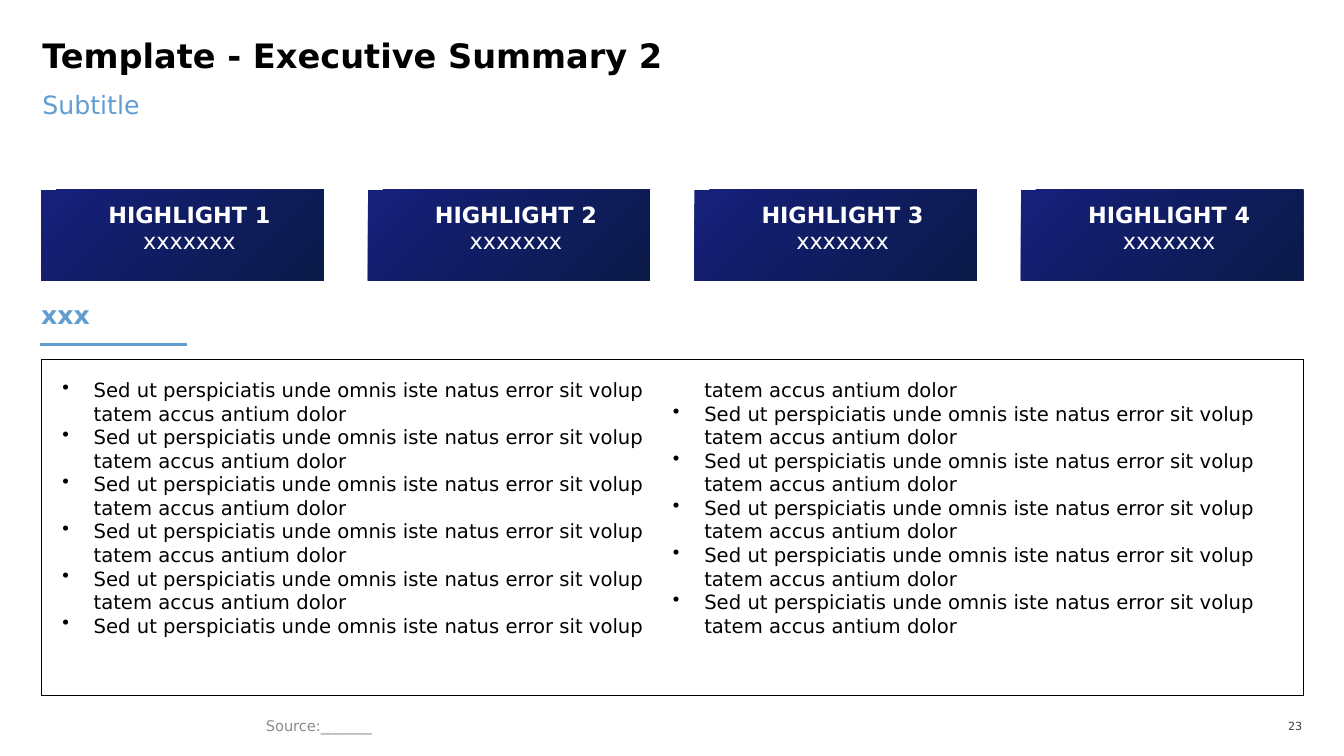
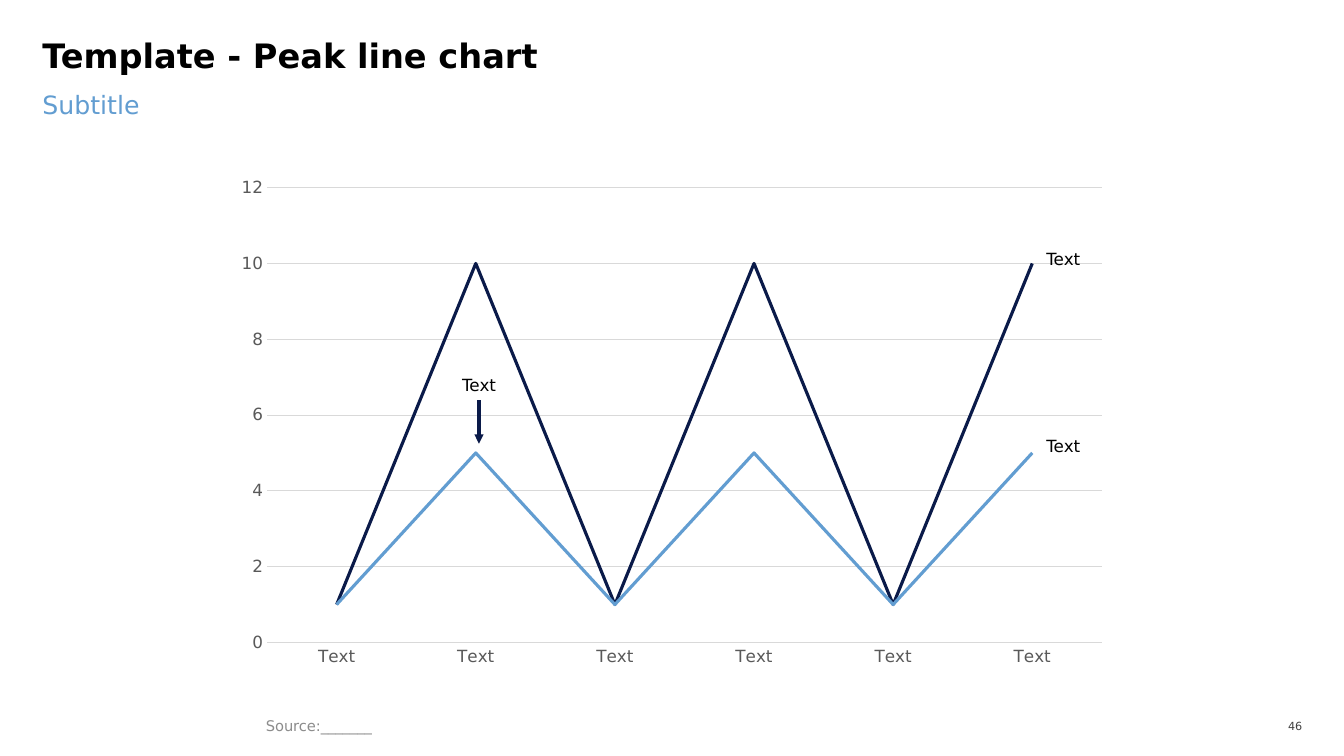
import pptx
import pptx.chart.data
import pptx.dml.color
import pptx.enum.chart
import pptx.enum.shapes
import pptx.enum.text
import pptx.oxml.ns
import pptx.oxml.xmlchemy
import pptx.util

Cm, Pt = pptx.util.Cm, pptx.util.Pt
ALIGN = pptx.enum.text.PP_ALIGN
ANCHOR = pptx.enum.text.MSO_ANCHOR
qn = pptx.oxml.ns.qn
new_element = pptx.oxml.xmlchemy.OxmlElement

FONT = "DejaVu Sans"
COLORS = {
    "black": "000000", "white": "FFFFFF", "accent": "629DD1", "navy": "0A1A49",
    "indigo": "16207B", "source": "8C8C8C", "page": "404040",
    "axis": "595959", "grid": "D9D9D9",
}

SUBTITLE = "Subtitle"
SOURCE = "Source:_______"

SUMMARY = {
    "title": "Template - Executive Summary 2",
    "page": "23",
    "highlights": [(f"HIGHLIGHT {number}", "xxxxxxx") for number in range(1, 5)],
    "heading": "xxx",
    "bullets": ["Sed ut perspiciatis unde omnis iste natus error sit volup "
                "tatem accus antium dolor"] * 11,
}
PEAKS = {
    "title": "Template - Peak line chart",
    "page": "46",
    "categories": ["Text"] * 6,
    "series": [("Series 1", [1, 10] * 3, "navy"), ("Series 2", [1, 5] * 3, "accent")],
    "labels": [("Text", 26.37, 6.27, ALIGN.LEFT), ("Text", 26.37, 10.97, ALIGN.LEFT),
               ("Text", 10.21, 9.45, ALIGN.CENTER)],
}

# Body grid in centimetres
LEFT, WIDTH = 1.04, 31.8
CARD_WIDTH = 7.11


def rgb(name):
    return pptx.dml.color.RGBColor.from_string(COLORS[name])


def style_font(font, size, color, bold=False):
    font.name = FONT
    font.size = Pt(size)
    font.bold = bold
    font.color.rgb = rgb(color)


def style_line(line, color, width):
    line.color.rgb = rgb(color)
    line.width = Pt(width)


def write(frame, lines, size, color, align=ALIGN.LEFT, anchor=ANCHOR.TOP,
          insets=(0, 0, 0, 0)):
    """Fill a text frame with (text, bold) lines; insets are left, top, right, bottom."""
    frame.word_wrap = True
    frame.vertical_anchor = anchor
    (frame.margin_left, frame.margin_top,
     frame.margin_right, frame.margin_bottom) = map(Cm, insets)
    for index, (text, bold) in enumerate(lines):
        paragraph = frame.add_paragraph() if index else frame.paragraphs[0]
        paragraph.alignment = align
        run = paragraph.add_run()
        run.text = text
        style_font(run.font, size, color, bold)


def add_text(slide, box, text, size, color, bold=False, **options):
    frame = slide.shapes.add_textbox(*map(Cm, box)).text_frame
    write(frame, [(text, bold)], size, color, **options)
    return frame


def add_rectangle(slide, box):
    shape = slide.shapes.add_shape(
        pptx.enum.shapes.MSO_SHAPE.RECTANGLE, *map(Cm, box))
    shape.shadow.inherit = False
    return shape


def add_line(slide, start, end, color, arrow=False):
    connector = slide.shapes.add_connector(
        pptx.enum.shapes.MSO_CONNECTOR.STRAIGHT, *map(Cm, start + end))
    style_line(connector.line, color, 2.25)
    properties = connector._element.spPr
    if arrow:
        head = new_element("a:tailEnd")
        head.set("type", "triangle")
        properties.find(qn("a:ln")).append(head)
    properties.append(new_element("a:effectLst"))


def add_bullet(paragraph):
    properties = paragraph._p.get_or_add_pPr()
    properties.set("marL", str(Cm(0.79)))
    properties.set("indent", str(-Cm(0.79)))
    bullet = new_element("a:buChar")
    bullet.set("char", "•")
    properties.append(bullet)


def add_base_slide(deck, content):
    """Add a slide with the shared title, subtitle, source and page number."""
    slide = deck.slides.add_slide(deck.slide_layouts[6])
    title = add_text(slide, (1.07, 1.07, 31.72, 1.35), content["title"], 24, "black", True)
    title.paragraphs[0].line_spacing = 0.8
    add_text(slide, (1.07, 2.24, 31.72, 1.6), SUBTITLE, 18, "accent")
    add_text(slide, (6.45, 17.96, 16.23, 0.66), SOURCE, 10.5, "source",
             anchor=ANCHOR.MIDDLE, insets=(0.25, 0.13, 0.25, 0.13))
    add_text(slide, (31.75, 18.01, 1.07, 0.58), content["page"], 8, "page",
             align=ALIGN.RIGHT, anchor=ANCHOR.MIDDLE)
    return slide


def add_highlight(slide, left, name, value):
    card = add_rectangle(slide, (left, 4.78, CARD_WIDTH, 2.29))
    card.line.fill.background()
    card.fill.gradient()
    card.fill.gradient_angle = 315
    for stop, color, position in zip(card.fill.gradient_stops, ("indigo", "navy"), (0, 0.99)):
        stop.color.rgb = rgb(color)
        stop.position = position
    write(card.text_frame, [(name, True), (value, False)], 16, "white",
          ALIGN.CENTER, ANCHOR.MIDDLE, (0.61, 0.13, 0.25, 0.51))


def build_summary(deck):
    slide = add_base_slide(deck, SUMMARY)
    highlights = SUMMARY["highlights"]
    pitch = (WIDTH - CARD_WIDTH) / (len(highlights) - 1)
    for index, (name, value) in enumerate(highlights):
        add_highlight(slide, LEFT + index * pitch, name, value)

    add_text(slide, (LEFT, 7.44, 7.44, 0.86), SUMMARY["heading"], 18, "accent", True,
             anchor=ANCHOR.BOTTOM)
    add_line(slide, (1.02, 8.69), (4.72, 8.69), "accent")

    panel = add_rectangle(slide, (LEFT, 9.04, WIDTH, 8.48))
    panel.fill.background()
    style_line(panel.line, "black", 0.25)

    points = slide.shapes.add_textbox(*map(Cm, (1.57, 9.53, 30.78, 6.71))).text_frame
    write(points, [(text, False) for text in SUMMARY["bullets"]], 14, "black")
    points._txBody.bodyPr.set("numCol", "2")
    for paragraph in points.paragraphs:
        add_bullet(paragraph)


def add_peak_chart(slide):
    data = pptx.chart.data.CategoryChartData()
    data.categories = PEAKS["categories"]
    for name, values, _ in PEAKS["series"]:
        data.add_series(name, values)
    chart = slide.shapes.add_chart(
        pptx.enum.chart.XL_CHART_TYPE.LINE,
        *map(Cm, (5.64, 4.22, 22.58, 12.83)), data).chart
    chart.has_legend = False
    chart.has_title = False
    style_font(chart.font, 10, "black")
    chart.plots[0].vary_by_categories = False
    for series, (_, _, color) in zip(chart.plots[0].series, PEAKS["series"]):
        series.smooth = False
        series.marker.style = pptx.enum.chart.XL_MARKER_STYLE.NONE
        style_line(series.format.line, color, 2.25)

    for axis in (chart.category_axis, chart.value_axis):
        axis.major_tick_mark = pptx.enum.chart.XL_TICK_MARK.NONE
        axis.minor_tick_mark = pptx.enum.chart.XL_TICK_MARK.NONE
        style_font(axis.tick_labels.font, 12, "axis")
    style_line(chart.category_axis.format.line, "grid", 0.75)
    scale = chart.value_axis
    scale.minimum_scale, scale.maximum_scale, scale.major_unit = 0, 12, 2
    scale.format.line.fill.background()
    style_line(scale.major_gridlines.format.line, "grid", 0.75)


def build_peaks(deck):
    slide = add_base_slide(deck, PEAKS)
    add_peak_chart(slide)
    for text, left, top, align in PEAKS["labels"]:
        add_text(slide, (left, top, 3.73, 0.51), text, 12, "black",
                 align=align, anchor=ANCHOR.MIDDLE)
    add_line(slide, (12.07, 10.08), (12.07, 11.18), "navy", arrow=True)


def main():
    deck = pptx.Presentation()
    deck.slide_width, deck.slide_height = Cm(33.87), Cm(19.05)
    build_summary(deck)
    build_peaks(deck)
    deck.save("out.pptx")


if __name__ == "__main__":
    main()
